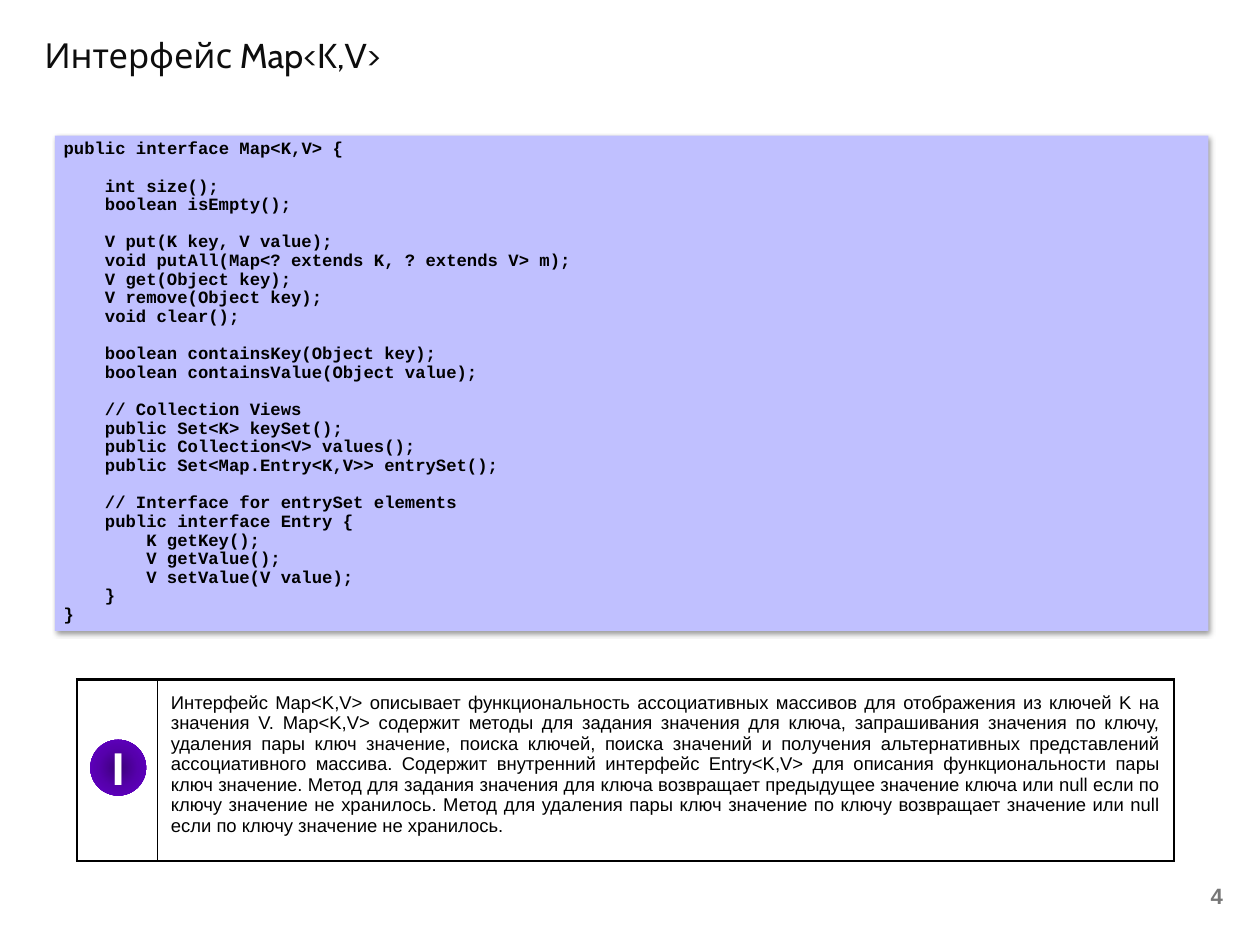
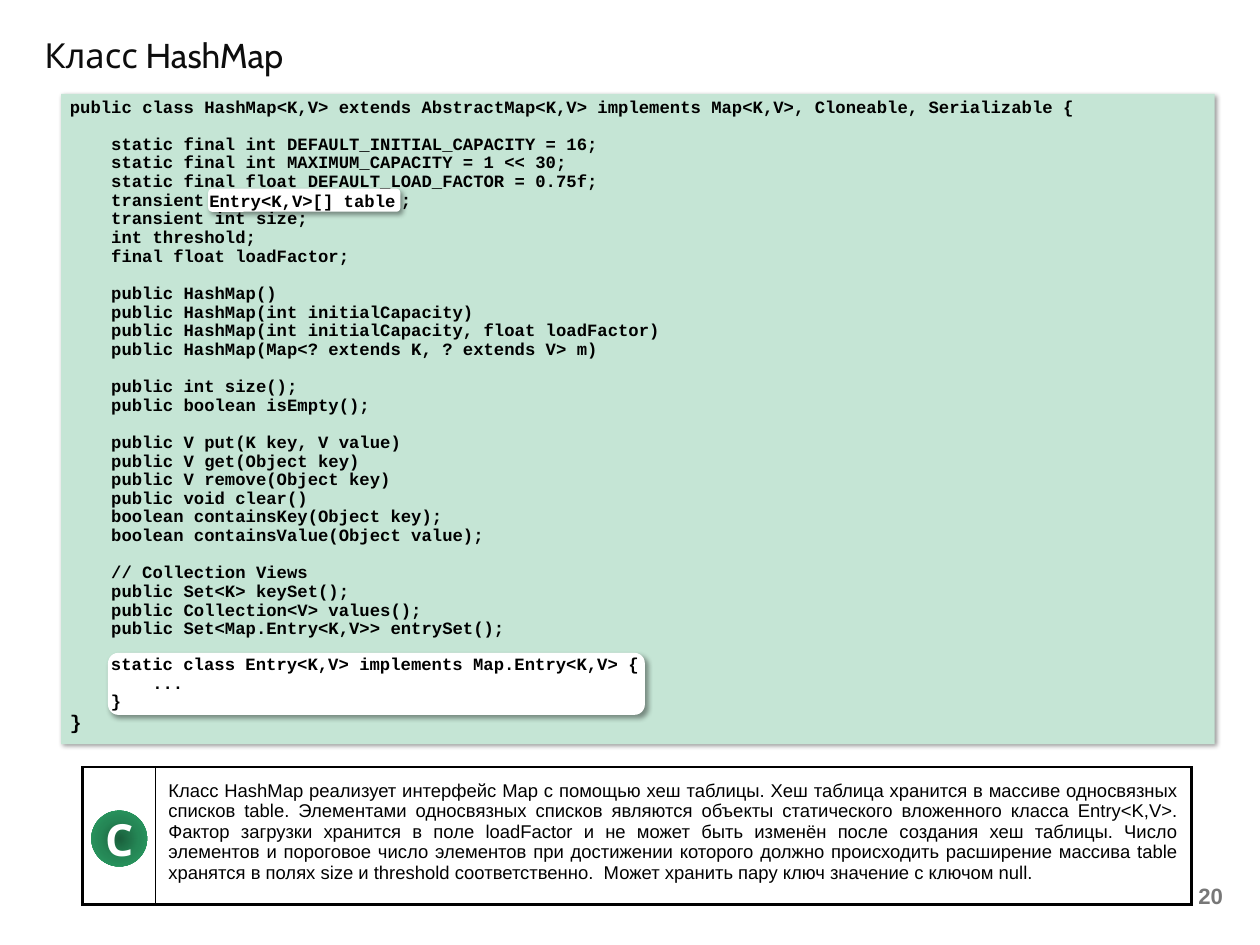
import pptx
import pptx.util
import pptx.dml.color
import pptx.enum.shapes
import pptx.enum.text
import pptx.oxml
import pptx.oxml.ns

Pt = pptx.util.Pt
RGBColor = pptx.dml.color.RGBColor
SHAPE = pptx.enum.shapes.MSO_SHAPE
ALIGN = pptx.enum.text.PP_ALIGN
ANCHOR = pptx.enum.text.MSO_ANCHOR
NSDECLS = pptx.oxml.ns.nsdecls("a")

BLACK = RGBColor(0x00, 0x00, 0x00)
WHITE = RGBColor(0xFF, 0xFF, 0xFF)
TITLE_INK = RGBColor(0x0D, 0x0D, 0x0D)
NUMBER_GREY = RGBColor(0x77, 0x77, 0x77)
LAVENDER = RGBColor(0xC0, 0xC0, 0xFF)
MINT = RGBColor(0xC5, 0xE5, 0xD5)
PURPLES = (RGBColor(0x3C, 0x00, 0x79), RGBColor(0x56, 0x00, 0xAC), RGBColor(0x66, 0x00, 0xCC))
GREENS = (RGBColor(0x1A, 0x5F, 0x3C), RGBColor(0x25, 0x87, 0x56), RGBColor(0x2B, 0xA1, 0x66))

CODE_SIZE = 14
CODE_CHAR = 8.4
CODE_LINE = 15.15
CELL_MARGIN = 10.8
THICK, THIN = 2.25, 0.5
BADGE_SIZE = 45.4

COLLECTION_VIEWS = """    // Collection Views
    public Set<K> keySet();
    public Collection<V> values();
    public Set<Map.Entry<K,V>> entrySet();"""

MAP_CODE = [
    "public interface Map<K,V> {",
    """    int size();
    boolean isEmpty();""",
    """    V put(K key, V value);
    void putAll(Map<? extends K, ? extends V> m);
    V get(Object key);
    V remove(Object key);
    void clear();""",
    """    boolean containsKey(Object key);
    boolean containsValue(Object value);""",
    COLLECTION_VIEWS,
    """    // Interface for entrySet elements
    public interface Entry {
        K getKey();
        V getValue();
        V setValue(V value);
    }
}""",
]

HASHMAP_CODE = [
    "public class HashMap<K,V> extends AbstractMap<K,V> implements Map<K,V>, Cloneable, Serializable {",
    """    static final int DEFAULT_INITIAL_CAPACITY = 16;
    static final int MAXIMUM_CAPACITY = 1 << 30;
    static final float DEFAULT_LOAD_FACTOR = 0.75f;
    transient Entry<K,V>[] table;
    transient int size;
    int threshold;
    final float loadFactor;""",
    """    public HashMap()
    public HashMap(int initialCapacity)
    public HashMap(int initialCapacity, float loadFactor)
    public HashMap(Map<? extends K, ? extends V> m)""",
    """    public int size();
    public boolean isEmpty();""",
    """    public V put(K key, V value)
    public V get(Object key)
    public V remove(Object key)
    public void clear()
    boolean containsKey(Object key);
    boolean containsValue(Object value);""",
    COLLECTION_VIEWS,
    """    static class Entry<K,V> implements Map.Entry<K,V> {
        ...
    }
}""",
]

TABLE_FIELD = ["Entry<K,V>[] table"]
ENTRY_CLASS = ["""static class Entry<K,V> implements Map.Entry<K,V> {
    ...
}"""]

MAP_NOTE = (
    "Интерфейс Map<K,V> описывает функциональность ассоциативных массивов для отображения "
    "из ключей K на значения V. Map<K,V> содержит методы для задания значения для ключа, "
    "запрашивания значения по ключу, удаления пары ключ значение, поиска ключей, поиска "
    "значений и получения альтернативных представлений ассоциативного массива. Содержит "
    "внутренний интерфейс Entry<K,V> для описания функциональности пары ключ значение. "
    "Метод для задания значения для ключа возвращает предыдущее значение ключа или null "
    "если по ключу значение не хранилось. Метод для удаления пары ключ значение по ключу "
    "возвращает значение или null если по ключу значение не хранилось."
)
HASHMAP_NOTE = (
    "Класс HashMap реализует интерфейс Map с помощью хеш таблицы. Хеш таблица хранится в "
    "массиве односвязных списков table. Элементами односвязных списков являются объекты "
    "статического вложенного класса Entry<K,V>. Фактор загрузки хранится в поле loadFactor "
    "и не может быть изменён после создания хеш таблицы. Число элементов и пороговое число "
    "элементов при достижении которого должно происходить расширение массива table хранятся "
    "в полях size и threshold соответственно.  Может хранить пару ключ значение с ключом null."
)

TOPICS = [
    dict(
        title="Интерфейс Map<K,V>", number="4", code=MAP_CODE, fill=LAVENDER,
        panel=(44.6, 110.2, 937.4, 402.5), closing_size=14, highlights=[],
        note=MAP_NOTE, note_at=(62.6, 552.2), note_columns=(65.5, 825.8), note_height=147.6,
        badge="I", badge_at=(73.4, 601.2), badge_colors=PURPLES,
    ),
    dict(
        title="Класс HashMap", number="20", code=HASHMAP_CODE, fill=MINT,
        panel=(49.7, 76.3, 937.4, 528.5), closing_size=16,
        highlights=[
            ((169.2, 153.4, 156.2, 18.7), TABLE_FIELD, 1.0),
            ((87.8, 530.6, 436.3, 50.4), ENTRY_CLASS, 0.9),
        ],
        note=HASHMAP_NOTE, note_at=(67, 623.5), note_columns=(59, 842.4), note_height=111.6,
        badge="C", badge_at=(74.2, 658.8), badge_colors=GREENS,
    ),
]


def style_text(paragraph, font_name, size, color, bold=False, align=ALIGN.LEFT):
    paragraph.alignment = align
    for run in paragraph.runs:
        run.font.name = font_name
        run.font.size = Pt(size)
        run.font.bold = bold
        run.font.color.rgb = color


def add_code(slide, outline, box, fill, blocks, line_spacing):
    panel = slide.shapes.add_shape(outline, *map(Pt, box))
    panel.fill.solid()
    panel.fill.fore_color.rgb = fill
    panel.line.fill.background()
    panel._element.spPr.append(pptx.oxml.parse_xml(
        f'<a:effectLst {NSDECLS}><a:outerShdw blurRad="{Pt(4)}" dist="{Pt(3)}" dir="2700000" '
        f'algn="tl" rotWithShape="0"><a:srgbClr val="{BLACK}"><a:alpha val="40000"/></a:srgbClr>'
        '</a:outerShdw></a:effectLst>'))
    frame = panel.text_frame
    frame.word_wrap = True
    frame.vertical_anchor = ANCHOR.TOP
    lines = [
        (line, block_index > 0 and line_index == 0)
        for block_index, block in enumerate(blocks)
        for line_index, line in enumerate(block.split("\n"))
    ]
    frame.text = "\n".join(line.strip() for line, opens_block in lines)
    for paragraph, (line, opens_block) in zip(frame.paragraphs, lines):
        style_text(paragraph, "Courier New", CODE_SIZE, BLACK, bold=True)
        paragraph.line_spacing = line_spacing
        paragraph.space_before = Pt(CODE_LINE if opens_block else 0)
        indent = len(line) - len(line.lstrip())
        paragraph._p.get_or_add_pPr().set("marL", str(Pt(indent * CODE_CHAR)))
    return frame


deck = pptx.Presentation()
deck.slide_width, deck.slide_height = Pt(1024), Pt(768)

for topic in TOPICS:
    slide = deck.slides.add_slide(deck.slide_layouts[5])

    title = slide.shapes.title
    title.left, title.top, title.width, title.height = map(Pt, (28.8, 21.6, 794, 45.4))
    title.text_frame.text = topic["title"]
    title.text_frame.word_wrap = False
    title.text_frame.auto_size = pptx.enum.text.MSO_AUTO_SIZE.NONE
    title.text_frame.vertical_anchor = ANCHOR.MIDDLE
    style_text(title.text_frame.paragraphs[0], "Cabin", 28, TITLE_INK)

    number = slide.shapes.add_textbox(*map(Pt, (762, 709, 239, 38))).text_frame
    number.word_wrap = True
    number.vertical_anchor = ANCHOR.MIDDLE
    number.text = topic["number"]
    style_text(number.paragraphs[0], "Arial", 18, NUMBER_GREY, bold=True, align=ALIGN.RIGHT)

    listing = add_code(slide, SHAPE.RECTANGLE, topic["panel"], topic["fill"], topic["code"], 0.9)
    listing.paragraphs[-1].runs[0].font.size = Pt(topic["closing_size"])

    note = slide.shapes.add_table(
        1, 2, *map(Pt, topic["note_at"]), Pt(sum(topic["note_columns"])), Pt(topic["note_height"])).table
    note.first_row = False
    note.horz_banding = False
    for column, width in zip(note.columns, topic["note_columns"]):
        column.width = Pt(width)
    for cell, left, right in zip(note.rows[0].cells, (THICK, THIN), (THIN, THICK)):
        for side, weight in (("L", left), ("R", right), ("T", THICK), ("B", THICK)):
            cell._tc.get_or_add_tcPr().append(pptx.oxml.parse_xml(
                f'<a:ln{side} {NSDECLS} w="{Pt(weight)}"><a:solidFill><a:srgbClr val="{BLACK}"/>'
                f'</a:solidFill></a:ln{side}>'))
        cell.fill.solid()
        cell.fill.fore_color.rgb = WHITE
    description = note.cell(0, 1)
    description.margin_left = description.margin_right = Pt(CELL_MARGIN)
    description.margin_top = description.margin_bottom = Pt(CELL_MARGIN)
    description.text_frame.text = topic["note"]
    style_text(description.text_frame.paragraphs[0], "Arial", 15, BLACK, align=ALIGN.JUSTIFY)

    badge = slide.shapes.add_shape(
        SHAPE.OVAL, *map(Pt, topic["badge_at"]), Pt(BADGE_SIZE), Pt(BADGE_SIZE))
    badge.shadow.inherit = False
    badge.line.fill.background()
    stops = "".join(
        f'<a:gs pos="{position}"><a:srgbClr val="{color}"/></a:gs>'
        for position, color in zip((0, 50000, 100000), topic["badge_colors"]))
    badge._element.spPr.prstGeom.addnext(pptx.oxml.parse_xml(
        f'<a:gradFill {NSDECLS} rotWithShape="1"><a:gsLst>{stops}</a:gsLst><a:path path="circle">'
        '<a:fillToRect l="50000" t="50000" r="50000" b="50000"/></a:path></a:gradFill>'))
    letter = badge.text_frame
    letter.margin_left = letter.margin_top = letter.margin_right = letter.margin_bottom = 0
    letter.word_wrap = False
    letter.vertical_anchor = ANCHOR.MIDDLE
    letter.text = topic["badge"]
    style_text(letter.paragraphs[0], "Open Sans", 36, WHITE, bold=True, align=ALIGN.CENTER)

    for box, code, line_spacing in topic["highlights"]:
        highlight = add_code(slide, SHAPE.ROUNDED_RECTANGLE, box, WHITE, code, line_spacing)
        highlight.margin_left = highlight.margin_top = 0
        highlight.margin_right = highlight.margin_bottom = 0

deck.save("out.pptx")
